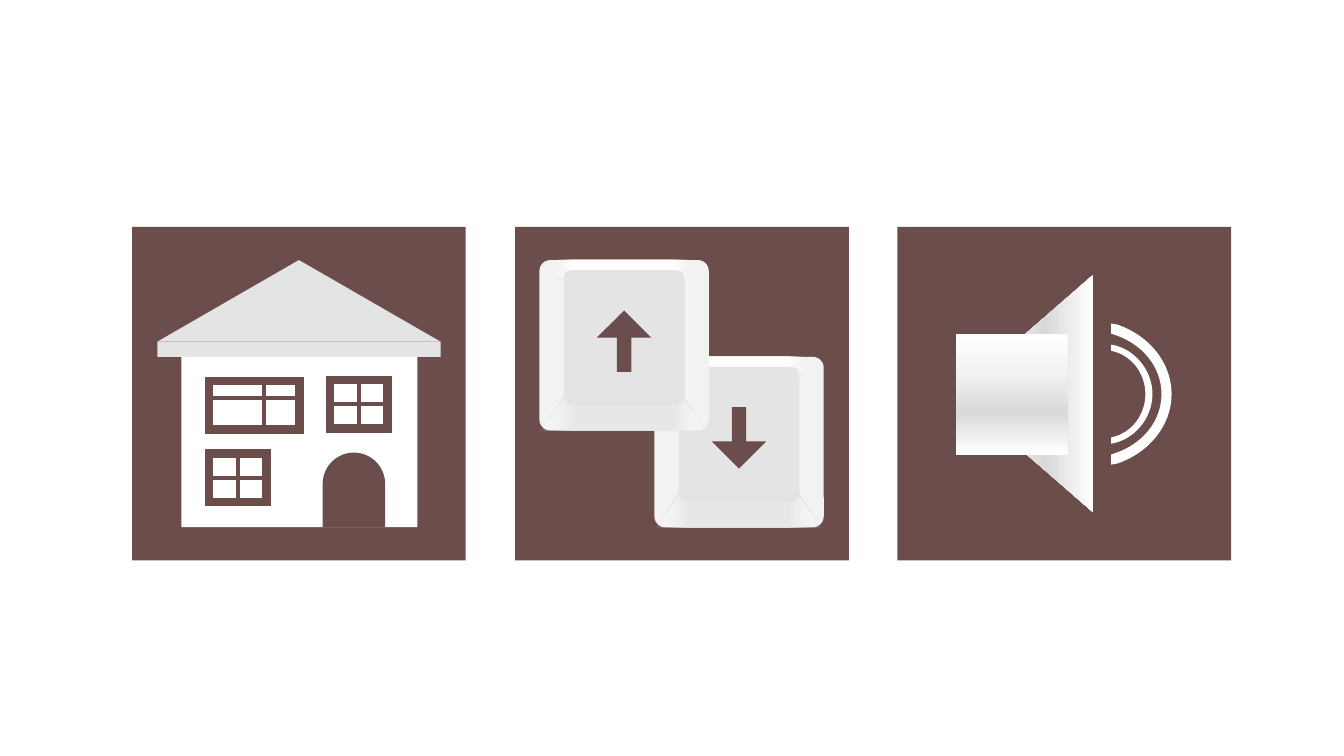
from dataclasses import dataclass

from lxml import etree
from pptx import Presentation
from pptx.dml.color import RGBColor
from pptx.enum.shapes import MSO_CONNECTOR, MSO_SHAPE
from pptx.oxml.ns import qn
from pptx.shapes.autoshape import Shape
from pptx.shapes.shapetree import GroupShapes
from pptx.util import Inches, Pt

RECT = MSO_SHAPE.RECTANGLE
ROUNDED = MSO_SHAPE.ROUNDED_RECTANGLE
ARCH = MSO_SHAPE.ROUND_2_SAME_RECTANGLE
TRIANGLE = MSO_SHAPE.ISOSCELES_TRIANGLE
TRAPEZOID = MSO_SHAPE.TRAPEZOID
DOWN_ARROW = MSO_SHAPE.DOWN_ARROW
STRAIGHT = MSO_CONNECTOR.STRAIGHT

BROWN, WHITE, GREY, PALE = "6B4E4B", "FFFFFF", "E4E4E4", "F2F2F2"
TILE_LEFTS = (1.31, 5.11, 8.9)
TILE_TOP, TILE_SIZE = 2.25, 3.31

Point = tuple[float, float]


@dataclass(frozen=True)
class Stop:
    position: int
    color: str
    alpha: int = 100


@dataclass(frozen=True)
class Gradient:
    stops: tuple[Stop, ...]
    angle: int


@dataclass(frozen=True)
class Part:
    preset: MSO_SHAPE
    left: float
    top: float
    width: float
    height: float
    fill: str | Gradient
    adjustments: tuple[float, ...] = ()
    rotation: int = 0
    flipped: bool = False


@dataclass(frozen=True)
class Window:
    center_x: float
    center_y: float
    width: float
    mullion: float
    transom: float
    height: float = 0.48


@dataclass(frozen=True)
class Key:
    left: float
    top: float
    points_up: bool


@dataclass(frozen=True)
class Wave:
    outer: tuple[Point, ...]
    inner: tuple[Point, ...]


KEY_FRONT = Gradient(
    (Stop(0, WHITE, 0), Stop(20, "E8E8E8"), Stop(80, "E8E8E8"), Stop(100, WHITE, 0)), 0)
KEY_BACK = Gradient(
    (Stop(10, WHITE, 0), Stop(20, WHITE), Stop(80, WHITE), Stop(90, WHITE, 0)), 0)
METAL = Gradient(
    (Stop(0, WHITE), Stop(33, PALE), Stop(65, "D9D9D9"), Stop(100, WHITE)), 270)

WALL = Part(RECT, 1.8, 3.5, 2.34, 1.73, WHITE)
WINDOWS = (
    Window(2.52, 4.02, 0.9, 2.62, 3.95),
    Window(3.56, 4.01, 0.57, 3.56, 4.01),
    Window(2.36, 4.74, 0.57, 2.36, 4.74),
)
DOOR_AND_ROOF = (
    Part(ARCH, 3.2, 4.49, 0.62, 0.74, BROWN, (0.5, 0)),
    Part(TRIANGLE, 1.56, 2.58, 2.81, 0.81, GREY),
    Part(RECT, 1.56, 3.39, 2.81, 0.15, GREY),
)
KEYS = (Key(6.49, 3.54, False), Key(5.35, 2.58, True))
SPEAKER = (
    Part(TRIANGLE, 8.99, 3.23, 2.35, 1.35, METAL, rotation=270),
    Part(RECT, 9.48, 3.31, 1.11, 1.2, METAL),
)
WAVE_AXIS = 3.91
WAVES = (
    Wave(((11.02, 3.21), (11.08, 3.22), (11.4, 3.33), (11.62, 3.6), (11.62, WAVE_AXIS)),
         ((11.02, 3.31), (11.05, 3.32), (11.33, 3.41), (11.52, 3.64), (11.52, WAVE_AXIS))),
    Wave(((11.02, 3.42), (11.03, 3.42), (11.25, 3.46), (11.43, 3.67), (11.43, WAVE_AXIS)),
         ((11.02, 3.48), (11.02, 3.48), (11.22, 3.52), (11.36, 3.7), (11.36, WAVE_AXIS))),
)
CURVE_STARTS = (1, 4, 10, 13)


def rgb(color: str) -> RGBColor:
    return RGBColor.from_string(color)


def paint(shape: Shape, fill: str | Gradient) -> None:
    shape.shadow.inherit = False
    shape.line.fill.background()
    if isinstance(fill, str):
        shape.fill.solid()
        shape.fill.fore_color.rgb = rgb(fill)
        return
    shape.fill.gradient()
    shape.fill.gradient_angle = fill.angle
    stop_list = shape.element.spPr.find(".//" + qn("a:gsLst"))
    for old_stop in list(stop_list):
        stop_list.remove(old_stop)
    for stop in fill.stops:
        entry = etree.SubElement(stop_list, qn("a:gs"), pos=str(stop.position * 1000))
        color = etree.SubElement(entry, qn("a:srgbClr"), val=stop.color)
        if stop.alpha < 100:
            etree.SubElement(color, qn("a:alpha"), val=str(stop.alpha * 1000))


def draw_part(icon: GroupShapes, part: Part) -> Shape:
    shape = icon.add_shape(part.preset, Inches(part.left), Inches(part.top),
                           Inches(part.width), Inches(part.height))
    for index, value in enumerate(part.adjustments):
        shape.adjustments[index] = value
    shape.rotation = part.rotation
    if part.flipped:
        shape.element.spPr.find(qn("a:xfrm")).set("flipV", "1")
    paint(shape, part.fill)
    return shape


def draw_bar(icon: GroupShapes, x1: float, y1: float, x2: float, y2: float) -> None:
    bar = icon.add_connector(STRAIGHT, Inches(x1), Inches(y1), Inches(x2), Inches(y2))
    bar.line.color.rgb = rgb(BROWN)
    bar.line.width = Pt(3)
    etree.SubElement(bar.element.spPr, qn("a:effectLst"))


def draw_window(icon: GroupShapes, window: Window) -> None:
    x, y = window.center_x, window.center_y
    half_width, half_height = window.width / 2, window.height / 2
    frame = draw_part(icon, Part(RECT, x - half_height, y - half_width,
                                 window.height, window.width, WHITE, rotation=90))
    frame.line.color.rgb = rgb(BROWN)
    frame.line.width = Pt(6)
    etree.SubElement(frame.element.spPr.find(qn("a:ln")), qn("a:miter"), lim="800000")
    draw_bar(icon, window.mullion, y + half_height, window.mullion, y - half_height)
    draw_bar(icon, x - half_width, window.transom, x + half_width, window.transom)


def draw_key(icon: GroupShapes, key: Key) -> None:
    left, top = key.left, key.top
    for part in (
        Part(ROUNDED, left, top, 1.68, 1.69, PALE, (0.064,)),
        Part(TRAPEZOID, left + 0.01, top + 1.31, 1.65, 0.38, KEY_FRONT, (0.726,)),
        Part(TRAPEZOID, left, top, 1.65, 0.2, KEY_BACK, (1.192,), flipped=True),
        Part(ROUNDED, left + 0.24, top + 0.1, 1.2, 1.34, GREY, (0.064,)),
        Part(DOWN_ARROW, left + 0.57, top + 0.5, 0.54, 0.61, BROWN, (0.264, 0.5),
             flipped=key.points_up),
    ):
        draw_part(icon, part)


def mirrored(upper: tuple[Point, ...]) -> list[tuple[int, int]]:
    lower = [(x, 2 * WAVE_AXIS - y) for x, y in upper[-2::-1]]
    return [(Inches(x), Inches(y)) for x, y in (*upper, *lower)]


def draw_wave(icon: GroupShapes, wave: Wave) -> None:
    outline = mirrored(wave.outer) + mirrored(wave.inner)[::-1]
    builder = icon.build_freeform(*outline[0])
    builder.add_line_segments(outline[1:], close=True)
    shape = builder.convert_to_shape()
    segments = list(shape.element.spPr.iter(qn("a:lnTo")))
    for start in CURVE_STARTS:
        curve = etree.Element(qn("a:cubicBezTo"))
        segments[start].addprevious(curve)
        for segment in segments[start:start + 3]:
            curve.append(segment[0])
            segment.getparent().remove(segment)
    paint(shape, WHITE)


def main() -> None:
    deck = Presentation()
    deck.slide_width, deck.slide_height = Inches(13.33), Inches(7.5)
    slide = deck.slides.add_slide(deck.slide_layouts[6])
    house, keyboard, sound = (slide.shapes.add_group_shape().shapes for _ in TILE_LEFTS)
    for icon, left in zip((house, keyboard, sound), TILE_LEFTS):
        draw_part(icon, Part(RECT, left, TILE_TOP, TILE_SIZE, TILE_SIZE, BROWN))

    for part in (WALL,):
        draw_part(house, part)
    for window in WINDOWS:
        draw_window(house, window)
    for part in DOOR_AND_ROOF:
        draw_part(house, part)
    for key in KEYS:
        draw_key(keyboard, key)
    for part in SPEAKER:
        draw_part(sound, part)
    for wave in WAVES:
        draw_wave(sound, wave)
    deck.save("out.pptx")


if __name__ == "__main__":
    main()
